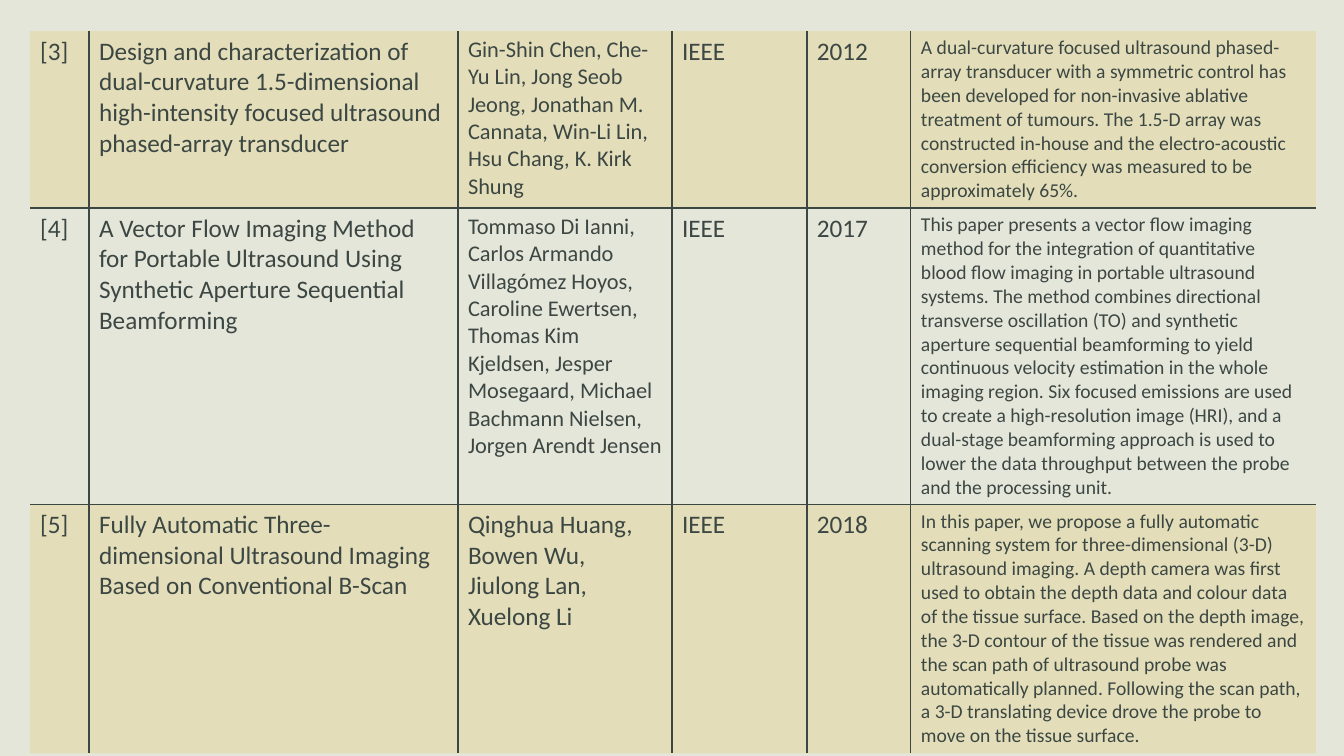
import lxml.etree
import pptx
import pptx.dml.color
import pptx.oxml.ns
import pptx.util

PX = 12192000 / 1344  # EMU in one px of a 1344 x 756 page
COLORS = {"page": "E5E6DA", "ink": "3C4743", "band": "DDC237"}
FONT = "Calibri"
BAND_ALPHA = 20
COLUMN_WIDTHS = [59, 369, 214, 135, 104, 405]
ROW_HEIGHTS = [177, 296, 249]
TABLE_BOX = (30, 31, sum(COLUMN_WIDTHS), sum(ROW_HEIGHTS))

# Number, title, authors, publisher, year, summary
PAPERS = [
    ("[3]",
     "Design and characterization of dual-curvature 1.5-dimensional "
     "high-intensity focused ultrasound phased-array transducer",
     "Gin-Shin Chen, Che-Yu Lin, Jong Seob Jeong, Jonathan M. Cannata, "
     "Win-Li Lin, Hsu Chang, K. Kirk Shung",
     "IEEE", "2012",
     "A dual-curvature focused ultrasound phased-array transducer with a "
     "symmetric control has been developed for non-invasive ablative treatment "
     "of tumours. The 1.5-D array was constructed in-house and the "
     "electro-acoustic conversion efficiency was measured to be approximately 65%."),
    ("[4]",
     "A Vector Flow Imaging Method for Portable Ultrasound Using Synthetic "
     "Aperture Sequential Beamforming",
     "Tommaso Di Ianni, Carlos Armando Villagómez Hoyos, Caroline Ewertsen, "
     "Thomas Kim Kjeldsen, Jesper Mosegaard, Michael Bachmann Nielsen, "
     "Jorgen Arendt Jensen",
     "IEEE", "2017",
     "This paper presents a vector flow imaging method for the integration of "
     "quantitative blood flow imaging in portable ultrasound systems. The method "
     "combines directional transverse oscillation (TO) and synthetic aperture "
     "sequential beamforming to yield continuous velocity estimation in the whole "
     "imaging region. Six focused emissions are used to create a high-resolution "
     "image (HRI), and a dual-stage beamforming approach is used to lower the "
     "data throughput between the probe and the processing unit."),
    ("[5]",
     "Fully Automatic Three-dimensional Ultrasound Imaging Based on "
     "Conventional B-Scan",
     "Qinghua Huang, Bowen Wu, Jiulong Lan, Xuelong Li",
     "IEEE", "2018",
     "In this paper, we propose a fully automatic scanning system for "
     "three-dimensional (3-D) ultrasound imaging. A depth camera was first used "
     "to obtain the depth data and colour data of the tissue surface. Based on "
     "the depth image, the 3-D contour of the tissue was rendered and the scan "
     "path of ultrasound probe was automatically planned. Following the scan "
     "path, a 3-D translating device drove the probe to move on the tissue surface."),
]
TEXT_SIZES = [
    [18, 18, 16, 18, 18, 14],
    [18, 18, 16, 18, 18, 14],
    [18, 18, 18, 18, 18, 14],
]


def emu(length):
    return pptx.util.Emu(round(length * PX))


def rgb(name):
    return pptx.dml.color.RGBColor.from_string(COLORS[name])


def add_element(parent, tag, **attributes):
    return lxml.etree.SubElement(parent, pptx.oxml.ns.qn(tag), attributes)


def set_borders(cell, inner_sides):
    """Draw the sides that lie inside the grid and clear the outer ones."""
    properties = cell._tc.get_or_add_tcPr()
    for side in "LRTB":
        line = add_element(properties, f"a:ln{side}", w=str(pptx.util.Pt(1)))
        if side in inner_sides:
            fill = add_element(line, "a:solidFill")
            add_element(fill, "a:srgbClr", val=COLORS["ink"])
        else:
            add_element(line, "a:noFill")


def set_fill(cell, banded):
    if not banded:
        cell.fill.background()
        return
    cell.fill.solid()
    cell.fill.fore_color.rgb = rgb("band")
    color = cell._tc.tcPr.find(".//" + pptx.oxml.ns.qn("a:solidFill") + "[last()]/"
                               + pptx.oxml.ns.qn("a:srgbClr") + f"[@val='{COLORS['band']}']")
    add_element(color, "a:alpha", val=str(BAND_ALPHA * 1000))


def set_text(cell, text, size):
    para = cell.text_frame.paragraphs[0]
    span = para.add_run()
    span.text = text
    span.font.name = FONT
    span.font.size = pptx.util.Pt(size)
    span.font.color.rgb = rgb("ink")


def add_paper_table(page, box):
    frame = page.shapes.add_table(len(PAPERS), len(COLUMN_WIDTHS), *map(emu, box))
    table = frame.table
    table.first_row = False
    table.horz_banding = False
    for column, width in zip(table.columns, COLUMN_WIDTHS):
        column.width = emu(width)
    for row, height in zip(table.rows, ROW_HEIGHTS):
        row.height = emu(height)

    last_row, last_column = len(PAPERS) - 1, len(COLUMN_WIDTHS) - 1
    for r, paper in enumerate(PAPERS):
        for c, text in enumerate(paper):
            cell = table.cell(r, c)
            inner = {"L": c > 0, "R": c < last_column, "T": r > 0, "B": r < last_row}
            set_borders(cell, [side for side in inner if inner[side]])
            set_fill(cell, banded=r % 2 == 0)
            set_text(cell, text, TEXT_SIZES[r][c])


def main():
    deck = pptx.Presentation()
    deck.slide_width, deck.slide_height = emu(1344), emu(756)
    page = deck.slides.add_slide(deck.slide_layouts[6])

    # Background
    page.background.fill.solid()
    page.background.fill.fore_color.rgb = rgb("page")

    # Literature table
    add_paper_table(page, TABLE_BOX)
    deck.save("out.pptx")


if __name__ == "__main__":
    main()
